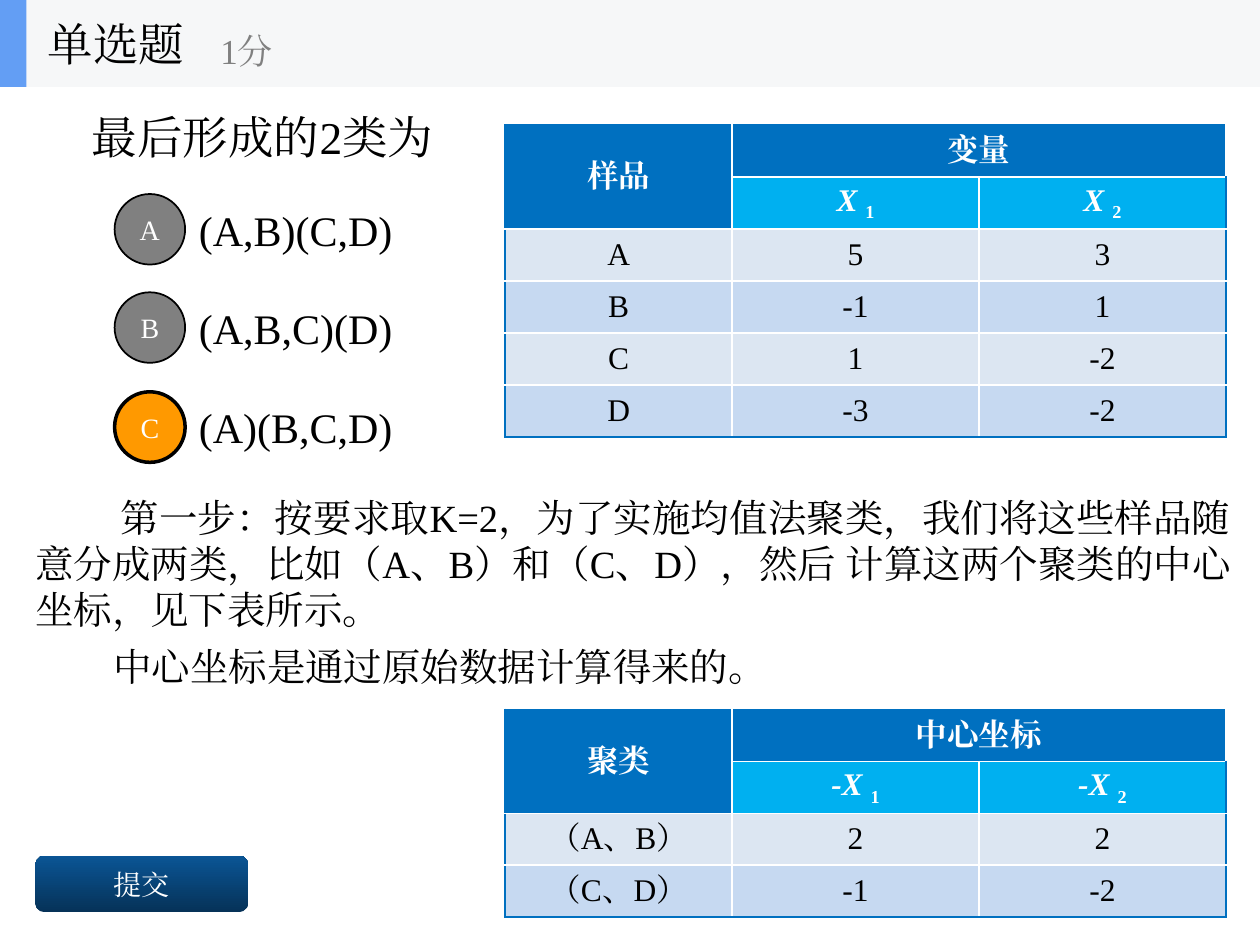
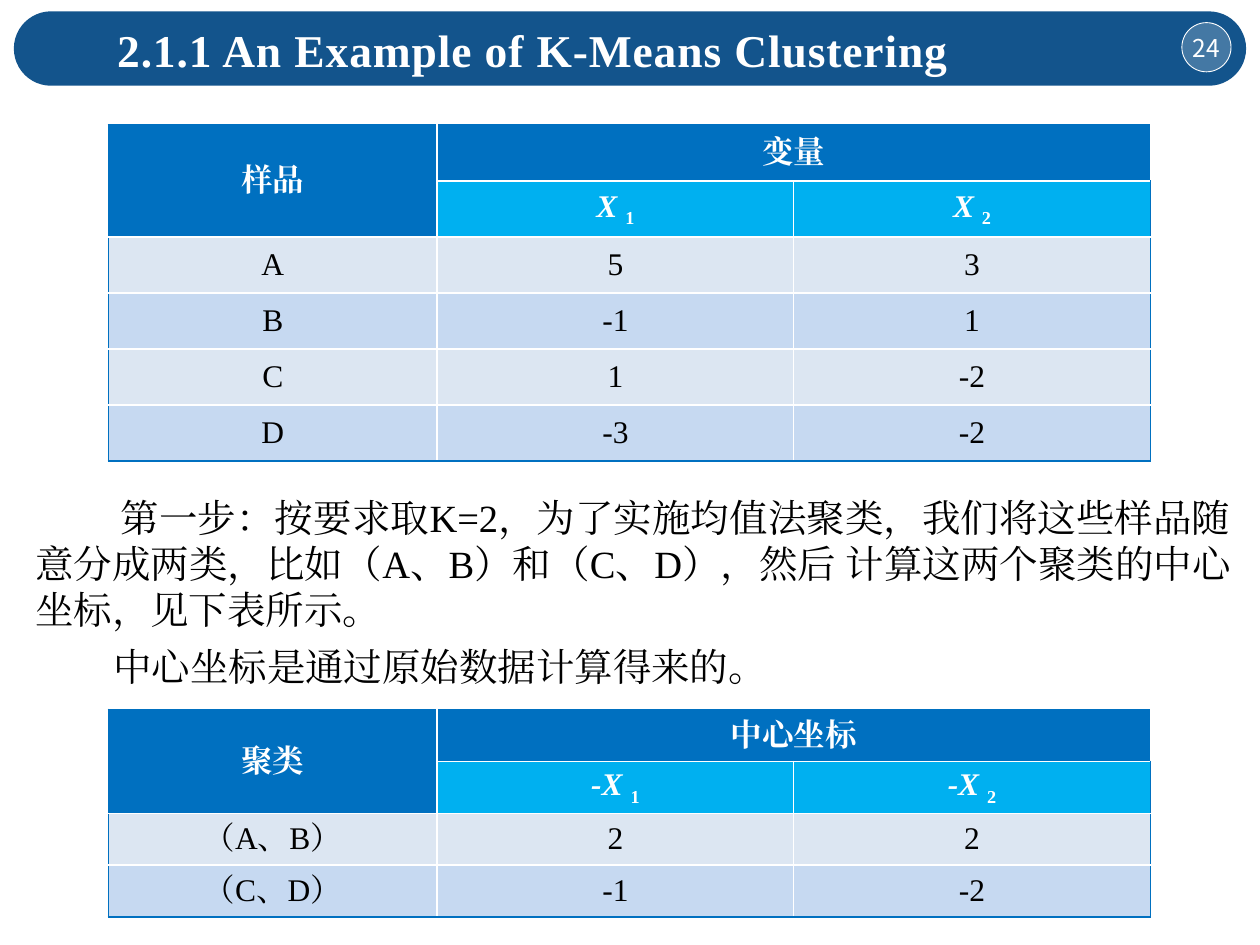
from pptx import Presentation
from pptx.dml.color import RGBColor
from pptx.enum.shapes import MSO_SHAPE as Kind
from pptx.enum.text import MSO_ANCHOR as Anchor, PP_ALIGN as Align
from pptx.oxml.ns import qn
from pptx.util import Inches, Pt
from lxml.etree import SubElement as Sub

FONT = "Times New Roman"
HUES = {
    "white": "FFFFFF", "black": "000000", "gray": "808080",
    "band": "13548C", "pale": "F6F7F8", "mark": "639EF4",
    "pick": "FF9900", "dark": "063258", "deep": "0A5595",
    "head": "0070C0", "sub": "00B0F0", "odd": "DCE6F2", "even": "C6D9F1",
}
SAMPLES = ("样品", "变量", "X ",
           [("A", "5", "3"), ("B", "-1", "1"), ("C", "1", "-2"), ("D", "-3", "-2")])
CENTERS = ("聚类", "中心坐标", "-X ",
           [("（A、B）", "2", "2"), ("（C、D）", "-1", "-2")])
STEPS = [
    "第一步：按要求取K=2，为了实施均值法聚类，我们将这些样品随意分成两类，"
    "比如（A、B）和（C、D），然后 计算这两个聚类的中心坐标，见下表所示。",
    "中心坐标是通过原始数据计算得来的。",
]
CHOICES = [("A", "(A,B)(C,D)", 1.54, "gray", 1),
           ("B", "(A,B,C)(D)", 2.32, "gray", 1),
           ("C", "(A)(B,C,D)", 3.11, "pick", 2)]


def rgb(hue):
    return RGBColor.from_string(HUES[hue])


def style(para, size, hue, bold=False, align=Align.LEFT, face=FONT):
    para.alignment = align
    font = para.font
    font.size, font.bold, font.name = Pt(size), bold, face
    font.color.rgb = rgb(hue)
    Sub(para._p.pPr.find(qn("a:defRPr")), qn("a:ea"), typeface=face)


def inset(frame, left=0, top=0, right=0, bottom=0):
    frame.margin_left, frame.margin_top = Inches(left), Inches(top)
    frame.margin_right, frame.margin_bottom = Inches(right), Inches(bottom)


def label(slide, box, text, size, hue="black"):
    frame = slide.shapes.add_textbox(*map(Inches, box)).text_frame
    frame.word_wrap = True
    frame.vertical_anchor = Anchor.MIDDLE
    frame.text = text
    style(frame.paragraphs[0], size, hue)


def block(slide, kind, box, hue=None, edge=None, width=1):
    shape = slide.shapes.add_shape(kind, *map(Inches, box))
    shape.shadow.inherit = False
    if hue:
        shape.fill.solid()
        shape.fill.fore_color.rgb = rgb(hue)
    if edge:
        shape.line.color.rgb = rgb(edge)
        shape.line.width = Pt(width)
    else:
        shape.line.fill.background()
    return shape


def caption(shape, text, size, face=FONT):
    frame = shape.text_frame
    inset(frame)
    frame.word_wrap = False
    frame.vertical_anchor = Anchor.MIDDLE
    frame.text = text
    style(frame.paragraphs[0], size, "white", align=Align.CENTER, face=face)


def heading(slide, box, text, hue, bold=False):
    title = slide.shapes.title
    slide.shapes._spTree.append(title._element)
    title.left, title.top, title.width, title.height = map(Inches, box)
    frame = title.text_frame
    frame.word_wrap = True
    frame.vertical_anchor = Anchor.MIDDLE
    frame.text = text
    style(frame.paragraphs[0], 26, hue, bold)
    return frame.paragraphs[0]


def steps(slide):
    frame = slide.shapes.add_textbox(*map(Inches, (0.28, 3.84, 9.49, 1.64))).text_frame
    frame.word_wrap = True
    inset(frame, top=0.08)
    for i, text in enumerate(STEPS):
        para = frame.add_paragraph() if i else frame.paragraphs[0]
        para.text = text
        style(para, 22, "black", align=Align.JUSTIFY)
        para._p.pPr.set("indent", str(Inches(0.62 if i else 0.68)))
        if i:
            para.space_before = Pt(6)


def border(cell, sides):
    props = cell._tc.get_or_add_tcPr()
    for i, (side, hue) in enumerate(sides.items()):
        line = props.makeelement(qn("a:" + side), {"w": str(Pt(1))})
        Sub(Sub(line, qn("a:solidFill")), qn("a:srgbClr"), val=HUES[hue])
        props.insert(i, line)


def grid(slide, data, left, top, widths, height):
    corner, group, var, body = data
    rows = [(corner, group, ""), ("", (var, "1"), (var, "2")), *body]
    count = len(rows)
    frame = slide.shapes.add_table(count, 3, Inches(left), Inches(top),
                                   Inches(sum(widths)), Inches(height))
    table = frame.table
    table.first_row = table.horz_banding = False
    for col, width in zip(table.columns, widths):
        col.width = Inches(width)
    for r, row in enumerate(rows):
        table.rows[r].height = Inches(height / count)
        for c, text in enumerate(row):
            fill(table.cell(r, c), text, r, c)
            border(table.cell(r, c), {
                "lnL": "white" if c else "head",
                "lnR": "head" if c == 2 else "white",
                "lnT": "white" if r else "head",
                "lnB": "head" if r == count - 1 else "white"})
    table.cell(0, 0).merge(table.cell(1, 0))
    table.cell(0, 1).merge(table.cell(0, 2))


def fill(cell, text, r, c):
    top = r < 2
    hue = ("sub" if r and c else "head") if top else ("even" if r % 2 else "odd")
    cell.fill.solid()
    cell.fill.fore_color.rgb = rgb(hue)
    cell.vertical_anchor = Anchor.MIDDLE
    inset(cell)
    para = cell.text_frame.paragraphs[0]
    style(para, 18, "white" if top else "black", top, Align.CENTER)
    if isinstance(text, tuple):
        var, low = (para.add_run() for _ in text)
        var.text, low.text = text
        var.font.italic = True
        low._r.get_or_add_rPr().set("baseline", "-24000")
    elif text:
        para.add_run().text = text


def quiz(slide):
    label(slide, (0.63, 0.74, 3.15, 0.69), "最后形成的2类为", 26)
    for key, text, top, hue, width in CHOICES:
        label(slide, (1.48, top - 0.07, 2.2, 0.7), text, 24)
        dot = block(slide, Kind.OVAL, (0.91, top, 0.56, 0.56), hue, "black", width)
        caption(dot, key, 16)
    send = block(slide, Kind.ROUNDED_RECTANGLE, (0.28, 6.79, 1.69, 0.45))
    send.fill.gradient()
    send.fill.gradient_angle = 90
    for stop, hue in zip(send.fill.gradient_stops, ("dark", "deep")):
        stop.color.rgb = rgb(hue)
    caption(send, "提交", 16)
    steps(slide)
    widths = (1.8, 1.96, 1.96)
    grid(slide, SAMPLES, 4.01, 0.99, widths, 2.48)
    grid(slide, CENTERS, 4.01, 5.63, widths, 1.65)
    block(slide, Kind.RECTANGLE, (0, 0, 10, 0.69), "pale")
    block(slide, Kind.RECTANGLE, (0, 0, 0.21, 0.69), "mark")
    heading(slide, (0.28, 0, 2.08, 0.69), "单选题", "black")
    label(slide, (1.65, 0.12, 2.5, 0.56), "1分", 20, "gray")


def lesson(slide):
    band = block(slide, Kind.ROUNDED_RECTANGLE, (0.11, 0.09, 9.78, 0.59), "band")
    band.adjustments[0] = 0.5
    badge = block(slide, Kind.OVAL, (9.38, 0.18, 0.39, 0.39), "white", "white", 0.5)
    tint = badge._element.spPr.find(qn("a:solidFill"))[0]
    Sub(tint, qn("a:alpha"), val="21000")
    caption(badge, "24", 14, "Noto Sans CJK SC")
    para = heading(slide, (0.83, 0.12, 7.4, 0.54),
                   "2.1.1 An Example of K-Means Clustering", "white", True)
    para._p.pPr.find(qn("a:defRPr")).set("spc", "50")
    widths = (2.61, 2.83, 2.83)
    grid(slide, SAMPLES, 0.86, 0.99, widths, 2.67)
    grid(slide, CENTERS, 0.86, 5.63, widths, 1.65)
    steps(slide)


def main():
    deck = Presentation()
    deck.slide_width, deck.slide_height = Inches(10), Inches(7.5)
    for build in (quiz, lesson):
        build(deck.slides.add_slide(deck.slide_layouts[5]))
    deck.save("out.pptx")


if __name__ == "__main__":
    main()
